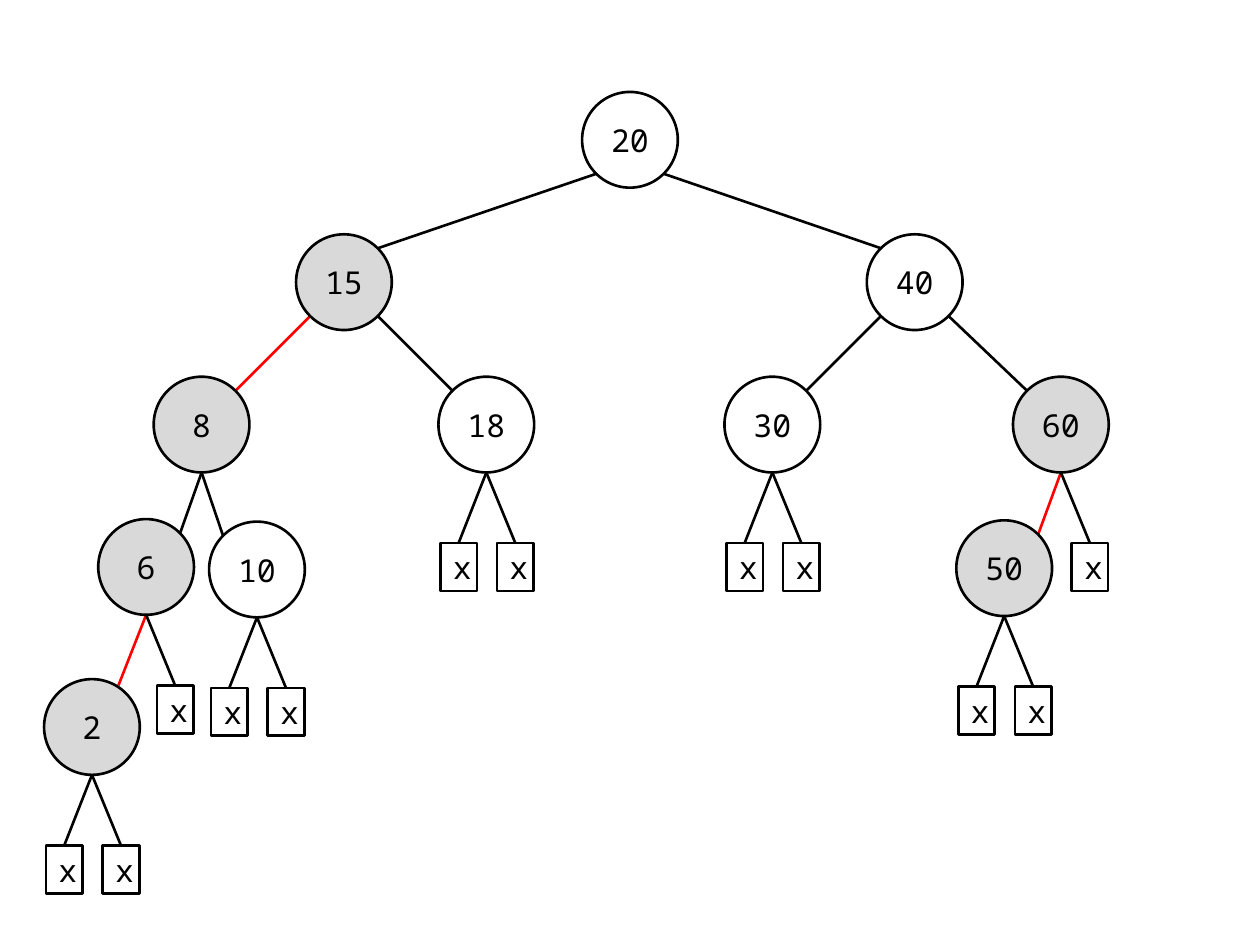
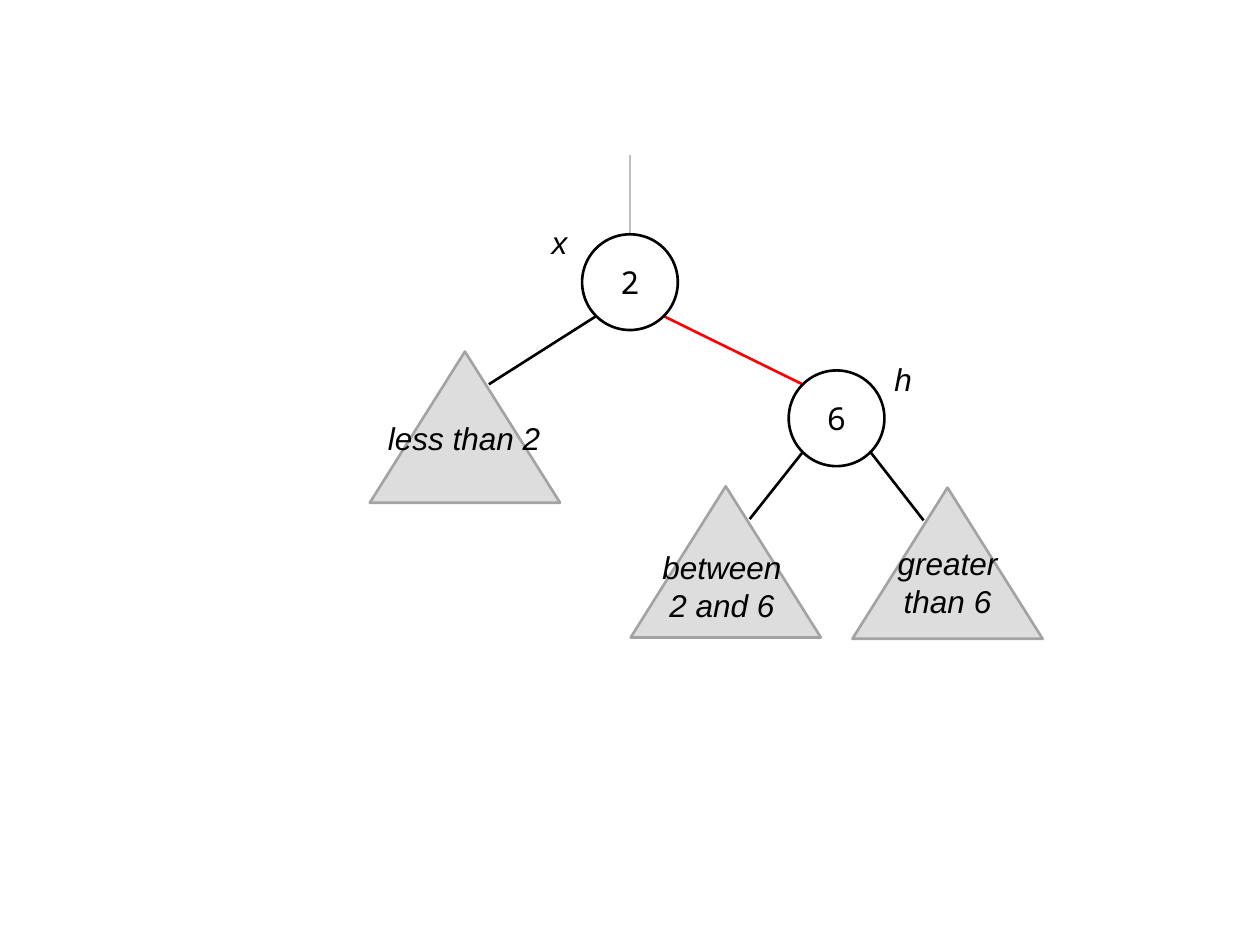
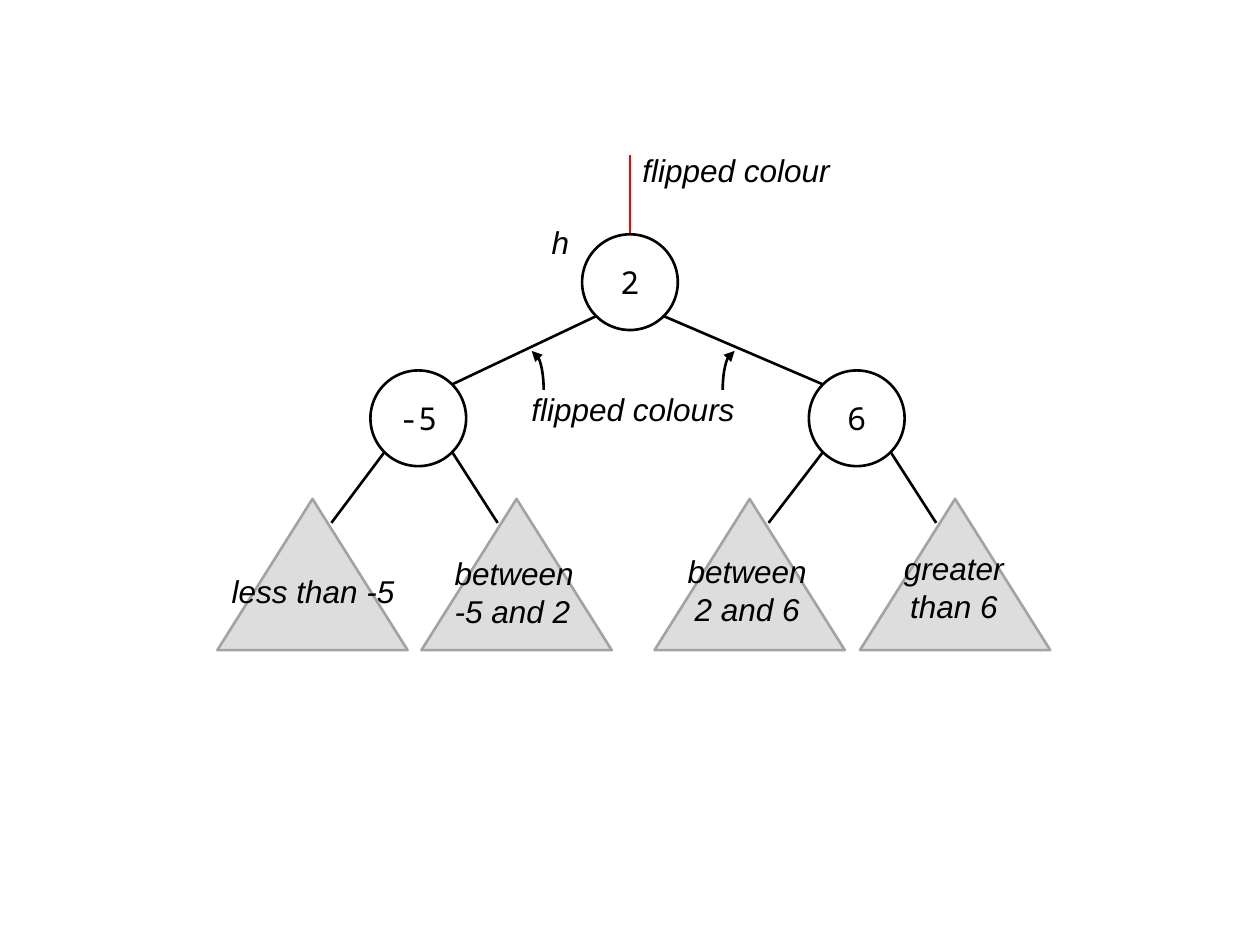
from pptx import Presentation
from pptx.dml.color import RGBColor
from pptx.enum.shapes import MSO_CONNECTOR, MSO_SHAPE
from pptx.enum.text import MSO_ANCHOR, MSO_AUTO_SIZE, PP_ALIGN
from pptx.oxml.ns import qn
from pptx.util import Inches, Pt
from lxml.etree import SubElement

BLACK, RED, STEM_GREY = "000000", "FF0000", "BFBFBF"
NODE_GREY, SUBTREE_FILL, SUBTREE_LINE = "D9D9D9", "DDDDDD", "A3A3A3"
NODE_FONT, CAPTION_FONT = "Noto Sans Mono", "Arial"
LEFT, CENTER = PP_ALIGN.LEFT, PP_ALIGN.CENTER

RADIUS = 0.38
CORNER = 0.27  # offset of a circle's diagonal points from its centre
LEAF_WIDTH, LEAF_HEIGHT, LEAF_DROP = 0.29, 0.38, 0.56
LEAF_OFFSETS = {"left": -0.22, "right": 0.23}
SUBTREE_WIDTH, SUBTREE_HEIGHT = 1.51, 1.2
STEM_TOP = 1.23

# Key: (centre x, centre y)
TREE_NODES = {
    "20": (5, 1.11), "15": (2.73, 2.24), "40": (7.26, 2.24),
    "8": (1.6, 3.37), "18": (3.86, 3.37), "30": (6.13, 3.37), "60": (8.42, 3.37),
    "6": (1.16, 4.5), "10": (2.04, 4.52), "50": (7.97, 4.51), "2": (0.73, 5.77),
}
GREY_KEYS = {"15", "8", "6", "2", "60", "50"}
# Parent, child, colour
CORNER_LINKS = [
    ("20", "15", BLACK), ("20", "40", BLACK), ("15", "8", RED),
    ("15", "18", BLACK), ("40", "30", BLACK), ("40", "60", BLACK),
]
BOTTOM_LINKS = [("8", "6", BLACK), ("8", "10", BLACK), ("60", "50", RED)]
STEEP_LINKS = [("6", "left", RED)]
LEAVES = [
    ("18", "left"), ("18", "right"), ("30", "left"), ("30", "right"),
    ("60", "right"), ("6", "right"), ("10", "left"), ("10", "right"),
    ("50", "left"), ("50", "right"), ("2", "left"), ("2", "right"),
]

# Subtrees: parent, apex x, apex y. Captions: paragraphs, left, top, width, height, alignment
ROTATIONS = [
    {
        "stem": STEM_GREY,
        "nodes": {"2": (5, 2.24), "6": (6.64, 3.32)},
        "links": [("2", "6", RED)],
        "subtree_contact": (0.19, 0.26),
        "subtrees": [("2", 3.69, 2.79), ("6", 5.76, 3.86), ("6", 7.52, 3.87)],
        "captions": [
            (["less than 2"], 2.98, 3.28, 1.42, 0.4, LEFT),
            (["between\n2 and 6"], 5.14, 4.3, 1.18, 0.71, CENTER),
            (["greater", "than 6"], 7.02, 4.27, 1, 0.71, CENTER),
            (["x"], 4.28, 1.72, 0.33, 0.4, LEFT),
            (["h"], 7, 2.81, 0.34, 0.4, LEFT),
        ],
        "arrows": [],
    },
    {
        "stem": RED,
        "nodes": {"2": (5, 2.24), "-5": (3.32, 3.32), "6": (6.8, 3.32)},
        "links": [("2", "-5", BLACK), ("2", "6", BLACK)],
        "subtree_contact": (0.15, 0.19),
        "subtrees": [("-5", 2.48, 3.96), ("-5", 4.1, 3.96),
                     ("6", 5.95, 3.96), ("6", 7.58, 3.96)],
        "captions": [
            (["less than -5"], 1.74, 4.49, 1.51, 0.4, LEFT),
            (["between", "-5 and 2"], 3.51, 4.35, 1.16, 0.71, LEFT),
            (["between\n2 and 6"], 5.34, 4.33, 1.18, 0.71, CENTER),
            (["greater", "than 6"], 7.07, 4.31, 1, 0.71, CENTER),
            (["h"], 4.28, 1.72, 0.34, 0.4, LEFT),
            (["flipped colours"], 4.12, 3.05, 1.83, 0.4, LEFT),
            (["flipped colour"], 5, 1.15, 1.7, 0.4, LEFT),
        ],
        # Left, rotation, flips
        "arrows": [(5.52, 90, ("flipH", "flipV")), (3.91, 270, ("flipV",))],
    },
]


def rgb(color):
    return RGBColor.from_string(color)


def add_run(paragraph, text, font_name, italic=False):
    run = paragraph.add_run()
    run.text = text
    run.font.name = font_name
    run.font.size = Pt(18)
    run.font.italic = italic
    run.font.color.rgb = rgb(BLACK)


def add_outlined(slide, kind, left, top, width, height, fill=None, line=BLACK):
    shape = slide.shapes.add_shape(
        kind, Inches(left), Inches(top), Inches(width), Inches(height))
    shape.shadow.inherit = False
    if fill:
        shape.fill.solid()
        shape.fill.fore_color.rgb = rgb(fill)
    else:
        shape.fill.background()
    shape.line.color.rgb = rgb(line)
    shape.line.width = Pt(1.5)
    return shape


def add_label(shape, text):
    shape.text_frame.vertical_anchor = MSO_ANCHOR.MIDDLE
    paragraph = shape.text_frame.paragraphs[0]
    paragraph.alignment = CENTER
    add_run(paragraph, text, NODE_FONT)


def add_node(slide, key, center, fill=None):
    x, y = center
    add_label(add_outlined(slide, MSO_SHAPE.OVAL, x - RADIUS, y - RADIUS,
                           2 * RADIUS, 2 * RADIUS, fill), key)


def add_line(slide, start, end, color=BLACK):
    connector = slide.shapes.add_connector(
        MSO_CONNECTOR.STRAIGHT, *(Inches(value) for value in (*start, *end)))
    connector.line.color.rgb = rgb(color)
    connector.line.width = Pt(1.5)
    SubElement(connector._element.spPr, qn("a:effectLst"))


def corner(center, toward_x, vertical):
    """Diagonal point on the side facing toward_x; vertical is -1 (upper) or 1 (lower)."""
    x, y = center
    return x + (CORNER if toward_x > x else -CORNER), y + vertical * CORNER


def bottom(center):
    return center[0], center[1] + RADIUS


def leaf_top(center, side):
    return center[0] + LEAF_OFFSETS[side], center[1] + RADIUS + LEAF_DROP


def add_corner_link(slide, parent, child, color):
    add_line(slide, corner(parent, child[0], 1), corner(child, parent[0], -1), color)


def add_leaf(slide, parent, side):
    x, y = leaf_top(parent, side)
    add_line(slide, bottom(parent), (x, y))
    add_label(add_outlined(slide, MSO_SHAPE.RECTANGLE, x - LEAF_WIDTH / 2, y,
                           LEAF_WIDTH, LEAF_HEIGHT), "x")


def add_subtree(slide, parent, x, y, contact):
    """Triangle with its apex at x, y and a link ending on the slope facing the parent."""
    add_outlined(slide, MSO_SHAPE.ISOSCELES_TRIANGLE, x - SUBTREE_WIDTH / 2, y,
                 SUBTREE_WIDTH, SUBTREE_HEIGHT, SUBTREE_FILL, SUBTREE_LINE)
    across, down = contact
    end_x = x + (across if parent[0] > x else -across)
    add_line(slide, corner(parent, x, 1), (end_x, y + down))


def add_caption(slide, texts, left, top, width, height, alignment):
    box = slide.shapes.add_textbox(
        Inches(left), Inches(top), Inches(width), Inches(height))
    frame = box.text_frame
    frame.word_wrap = False
    frame.auto_size = MSO_AUTO_SIZE.SHAPE_TO_FIT_TEXT
    for index, text in enumerate(texts):
        paragraph = frame.add_paragraph() if index else frame.paragraphs[0]
        paragraph.alignment = alignment
        for number, line in enumerate(text.split("\n")):
            if number:
                paragraph.add_line_break()
            add_run(paragraph, line, CAPTION_FONT, italic=True)


def add_curved_arrow(slide, left, rotation, flips):
    arc = add_outlined(slide, MSO_SHAPE.ARC, left, 3, 0.62, 0.19)
    arc.rotation = rotation
    for flip in flips:
        arc._element.spPr.xfrm.set(flip, "1")
    SubElement(arc.line._get_or_add_ln(), qn("a:tailEnd"), type="triangle")


def build_tree(slide):
    for parent, child, color in CORNER_LINKS:
        add_corner_link(slide, TREE_NODES[parent], TREE_NODES[child], color)
    for parent, child, color in BOTTOM_LINKS:
        start, end = TREE_NODES[parent], TREE_NODES[child]
        add_line(slide, bottom(start), corner(end, start[0], -1), color)
    for parent, side, color in STEEP_LINKS:
        center = TREE_NODES[parent]
        add_line(slide, bottom(center), leaf_top(center, side), color)
    for parent, side in LEAVES:
        add_leaf(slide, TREE_NODES[parent], side)
    for key, center in TREE_NODES.items():
        add_node(slide, key, center, NODE_GREY if key in GREY_KEYS else None)


def build_rotation(slide, rotation):
    nodes = rotation["nodes"]
    root_x, root_y = nodes["2"]
    add_line(slide, (root_x, root_y - RADIUS), (root_x, STEM_TOP), rotation["stem"])
    for parent, child, color in rotation["links"]:
        add_corner_link(slide, nodes[parent], nodes[child], color)
    for key, center in nodes.items():
        add_node(slide, key, center)
    for parent, x, y in rotation["subtrees"]:
        add_subtree(slide, nodes[parent], x, y, rotation["subtree_contact"])
    for caption in rotation["captions"]:
        add_caption(slide, *caption)
    for arrow in rotation["arrows"]:
        add_curved_arrow(slide, *arrow)


def main():
    presentation = Presentation()
    presentation.slide_width, presentation.slide_height = Inches(10), Inches(7.5)
    blank = presentation.slide_layouts[6]
    build_tree(presentation.slides.add_slide(blank))
    for rotation in ROTATIONS:
        build_rotation(presentation.slides.add_slide(blank), rotation)
    presentation.save("out.pptx")


if __name__ == "__main__":
    main()
